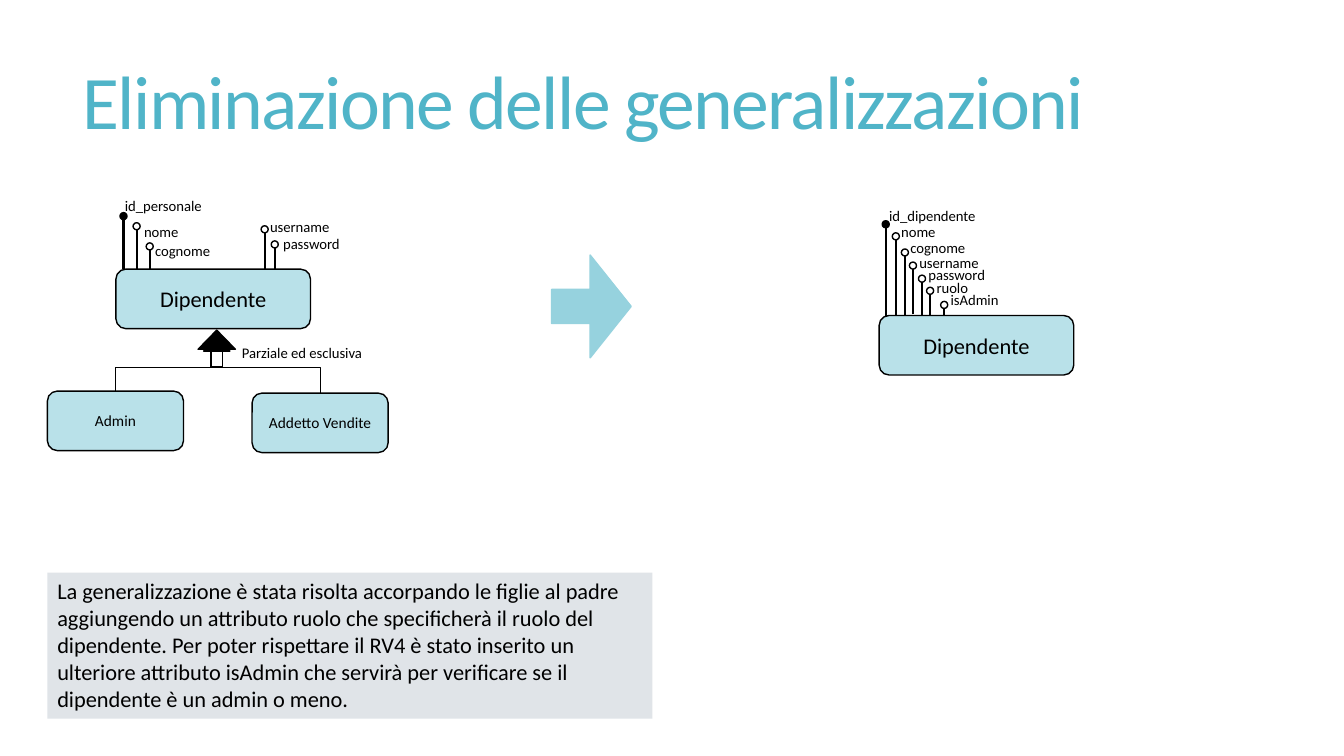
"""Build the slide on removing generalizations from an entity schema."""
from lxml import etree
from pptx import Presentation
from pptx.dml.color import RGBColor
from pptx.enum import shapes, text
from pptx.oxml import ns
from pptx.util import Inches, Pt

COLORS = {"title": "50B4C8", "entity": "B9E1E9", "arrow": "96D2DE",
          "note": "E0E4E8", "black": "000000", "white": "FFFFFF"}
FONT = "Calibri"
PIN = 0.07
TITLE = "Eliminazione delle generalizzazioni"
NOTE = ("La generalizzazione è stata risolta accorpando le figlie al padre "
        "aggiungendo un attributo ruolo che specificherà il ruolo del dipendente. "
        "Per poter rispettare il RV4 è stato inserito un ulteriore attributo isAdmin "
        "che servirà per verificare se il dipendente è un admin o meno.")
CONSTRAINT = ("Parziale ed esclusiva", 2.3, 3.36, 1.42)

# name, is key, pin left, pin top, stem bottom, label left, label top, label width
ATTRIBUTES = [
    ("id_personale", True, 1.19, 2.11, 2.67, 1.14, 1.9, 0.98),
    ("nome", False, 1.32, 2.21, 3.02, 1.33, 2.16, 0.55),
    ("cognome", False, 1.45, 2.41, 3.08, 1.44, 2.35, 0.75),
    ("username", False, 2.59, 2.24, 2.76, 2.58, 2.11, 0.8),
    ("password", False, 2.69, 2.39, 2.73, 2.71, 2.28, 0.77),
    ("id_dipendente", True, 8.75, 2.19, 3.19, 8.72, 2, 1.07),
    ("nome", False, 8.85, 2.31, 3.42, 8.84, 2.16, 0.55),
    ("cognome", False, 8.94, 2.47, 3.14, 8.93, 2.32, 0.75),
    ("username", False, 9.02, 2.6, 3.12, 9.02, 2.47, 0.8),
    ("password", False, 9.11, 2.73, 3.33, 9.11, 2.59, 0.77),
    ("ruolo", False, 9.19, 2.85, 3.37, 9.19, 2.72, 0.52),
    ("isAdmin", False, 9.33, 2.99, 3.33, 9.33, 2.84, 0.68),
]
ENTITIES = [
    ("Dipendente", 1.15, 2.67, 1.93, 16),
    ("Admin", 0.47, 3.88, 1.35, 11),
    ("Addetto Vendite", 2.5, 3.9, 1.35, 11),
    ("Dipendente", 8.72, 3.13, 1.93, 16),
]
ARROWS = [
    ((2.05, 3.19, 0.2, 0.37), 270, (0.33, 0.948), "black", "black"),
    ((2.07, 3.43, 0.16, 0.26), 270, (0.451, 0), "white", "black"),
    ((5.47, 2.53, 0.79, 1.02), 0, (0.33, 0.515), "arrow", "arrow"),
]


def color(name):
    return RGBColor.from_string(COLORS[name])


def write(frame, words, size, shade="black", align=text.PP_ALIGN.LEFT):
    paragraph = frame.paragraphs[0]
    paragraph.alignment = align
    run = paragraph.add_run()
    run.text = words
    run.font.size, run.font.name = Pt(size), FONT
    run.font.color.rgb = color(shade)
    return paragraph, run


def add_shape(parent, kind, box, fill, line=None):
    shape = parent.add_shape(kind, *map(Inches, box))
    shape.shadow.inherit = False
    shape.fill.solid()
    shape.fill.fore_color.rgb = color(fill)
    if line:
        shape.line.color.rgb = color(line)
        shape.line.width = Pt(1)
    else:
        shape.line.fill.background()
    return shape


def add_line(parent, kind, ends, width):
    line = parent.add_connector(kind, *map(Inches, ends))
    line.line.color.rgb = color("black")
    line.line.width = Pt(width)
    etree.SubElement(line._element.spPr, ns.qn("a:effectLst"))
    return line


def add_label(words, left, top, width):
    label = slide.shapes.add_textbox(*map(Inches, (left, top, width, 0.28)))
    label.text_frame.word_wrap = False
    label.text_frame.auto_size = text.MSO_AUTO_SIZE.SHAPE_TO_FIT_TEXT
    write(label.text_frame, words, 10.5)


def add_attribute(name, is_key, left, top, bottom, *label_place):
    pin = slide.shapes.add_group_shape().shapes
    add_shape(pin, shapes.MSO_SHAPE.OVAL, (left, top, PIN, PIN),
              "black" if is_key else "white", "black")
    middle = left + PIN / 2
    add_line(pin, shapes.MSO_CONNECTOR.STRAIGHT, (middle, bottom, middle, top + PIN), 1.5)
    add_label(name, *label_place)


def add_entity(name, left, top, width, size):
    entity = add_shape(slide.shapes, shapes.MSO_SHAPE.ROUNDED_RECTANGLE,
                       (left, top, width, 0.59), "entity", "black")
    entity.text_frame.vertical_anchor = text.MSO_ANCHOR.MIDDLE
    write(entity.text_frame, name, size, align=text.PP_ALIGN.CENTER)


def add_branch():
    branch = add_line(slide.shapes, shapes.MSO_CONNECTOR.ELBOW, (2.15, 2.89, 2.17, 4.92), 0.75)
    properties = branch._element.spPr
    frame = properties.find(ns.qn("a:xfrm"))
    frame.set("rot", "16200000")
    frame.set("flipH", "1")
    geometry = properties.find(ns.qn("a:prstGeom"))
    guides = geometry.find(ns.qn("a:avLst"))
    if guides is None:
        guides = etree.SubElement(geometry, ns.qn("a:avLst"))
    etree.SubElement(guides, ns.qn("a:gd"), name="adj1", fmla="val -1250000")


presentation = Presentation()
presentation.slide_width, presentation.slide_height = Inches(13.33), Inches(7.5)
slide = presentation.slides.add_slide(presentation.slide_layouts[5])

title = slide.shapes.title
title.left, title.top, title.width, title.height = map(Inches, (0.72, 0.55, 11.78, 1.81))
title.text_frame.auto_size = text.MSO_AUTO_SIZE.NONE
title.text_frame.vertical_anchor = text.MSO_ANCHOR.TOP
title.text_frame.margin_top = Inches(0.12)
heading, heading_run = write(title.text_frame, TITLE, 54, "title")
heading.line_spacing = 0.85
heading_run.font._element.set("spc", "-120")

note = add_shape(slide.shapes, shapes.MSO_SHAPE.RECTANGLE, (0.47, 5.68, 6, 1.45), "note")
note.text_frame.word_wrap = True
note.text_frame.vertical_anchor = text.MSO_ANCHOR.TOP
note.text_frame.auto_size = text.MSO_AUTO_SIZE.SHAPE_TO_FIT_TEXT
write(note.text_frame, NOTE, 16)

add_label(*CONSTRAINT)
add_branch()
for attribute in ATTRIBUTES:
    add_attribute(*attribute)
for entity in ENTITIES:
    add_entity(*entity)
for box, rotation, adjustments, fill, line in ARROWS:
    arrow = add_shape(slide.shapes, shapes.MSO_SHAPE.RIGHT_ARROW, box, fill, line)
    arrow.rotation = rotation
    for index, value in enumerate(adjustments):
        arrow.adjustments[index] = value

presentation.save("out.pptx")
